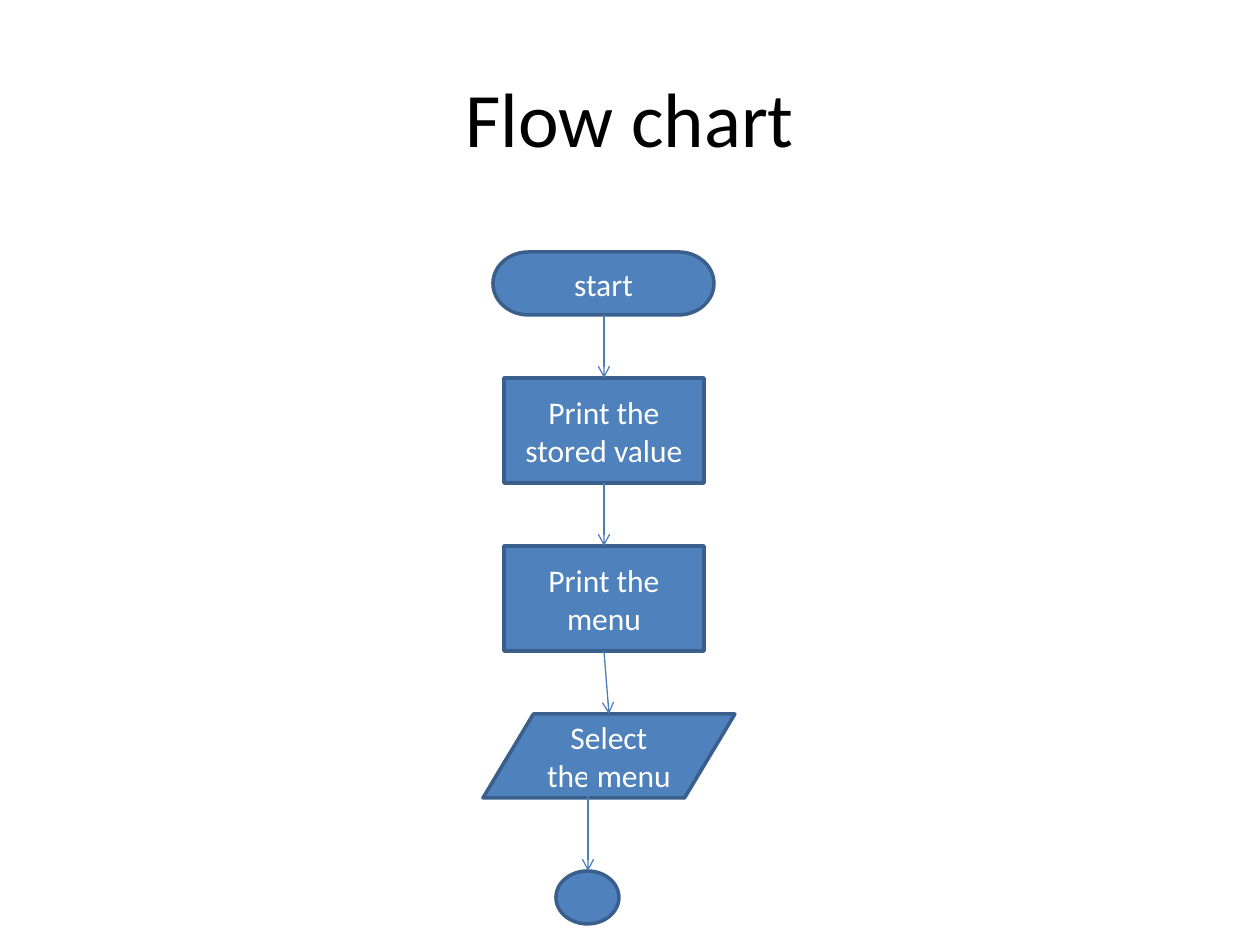
from lxml import etree
from pptx import Presentation
from pptx.dml.color import RGBColor
from pptx.enum.shapes import MSO_CONNECTOR, MSO_SHAPE
from pptx.enum.text import MSO_ANCHOR, PP_ALIGN
from pptx.oxml.ns import qn
from pptx.util import Emu, Pt

PX = 914400 // 126
STRAIGHT = MSO_CONNECTOR.STRAIGHT
TERMINATOR = MSO_SHAPE.FLOWCHART_TERMINATOR
PROCESS = MSO_SHAPE.FLOWCHART_PROCESS
INPUT_OUTPUT = MSO_SHAPE.FLOWCHART_DATA
JUNCTION = MSO_SHAPE.FLOWCHART_CONNECTOR
MIDDLE = MSO_ANCHOR.MIDDLE
CENTER = PP_ALIGN.CENTER

FILL, OUTLINE, ARROW = "4F81BD", "3A5F8C", "4B7EBC"

# kind, left, top, width, height, label
STEPS = [
    (TERMINATOR, 493, 252, 221, 63, "start"),
    (PROCESS, 504, 378, 200, 105, "Print the stored value"),
    (PROCESS, 504, 546, 200, 105, "Print the menu"),
    (INPUT_OUTPUT, 483, 714, 252, 84, "Select the menu"),
    (JUNCTION, 556, 871, 63, 53, ""),
]
# x1, y1, x2, y2
ARROWS = [
    (604, 315, 604, 378),
    (604, 483, 604, 546),
    (604, 651, 609, 714),
    (588, 766, 588, 871),
]


def px(*values):
    """Turn pixels into EMU."""
    return [Emu(v * PX) for v in values]


def color(code):
    """Turn a hex string into a colour."""
    return RGBColor.from_string(code)


def write(s, text, size, code):
    """Write one centred run into a shape."""
    tf = s.text_frame
    tf.word_wrap = True
    tf.vertical_anchor = MIDDLE
    p = tf.paragraphs[0]
    p.alignment = CENTER
    r = p.add_run()
    r.text = text
    r.font.name = "Calibri"
    r.font.size = Pt(size)
    r.font.color.rgb = color(code)


def add_title(slide, text):
    """Add the slide heading."""
    s = slide.shapes.add_textbox(*px(63, 38, 1134, 157))
    write(s, text, 44, "000000")


def add_step(slide, kind, left, top, width, height, label):
    """Add one flow chart symbol with its label."""
    s = slide.shapes.add_shape(kind, *px(left, top, width, height))
    s.shadow.inherit = False
    s.fill.solid()
    s.fill.fore_color.rgb = color(FILL)
    s.line.color.rgb = color(OUTLINE)
    s.line.width = Pt(2)
    if label:
        write(s, label, 18, "FFFFFF")


def add_arrow(slide, *ends):
    """Add a thin line with an open arrowhead at its end."""
    s = slide.shapes.add_connector(STRAIGHT, *px(*ends))
    s.line.color.rgb = color(ARROW)
    s.line.width = Pt(0.75)
    etree.SubElement(s.line._get_or_add_ln(), qn("a:tailEnd"), type="arrow")
    etree.SubElement(s._element.spPr, qn("a:effectLst"))


def main():
    """Build the flow chart slide."""
    prs = Presentation()
    prs.slide_width, prs.slide_height = px(1260, 945)
    slide = prs.slides.add_slide(prs.slide_layouts[6])
    add_title(slide, "Flow chart")
    for step in STEPS:
        add_step(slide, *step)
    for ends in ARROWS:
        add_arrow(slide, *ends)
    prs.save("out.pptx")


main()
